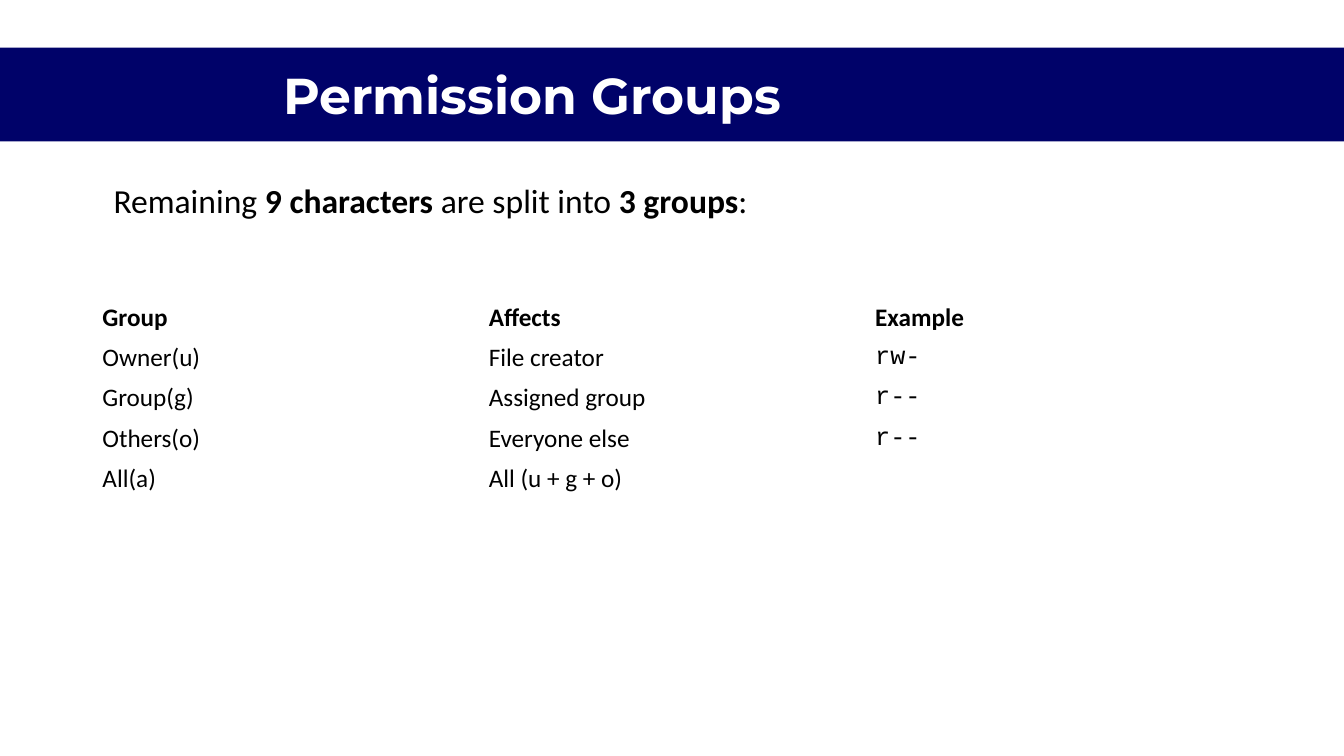
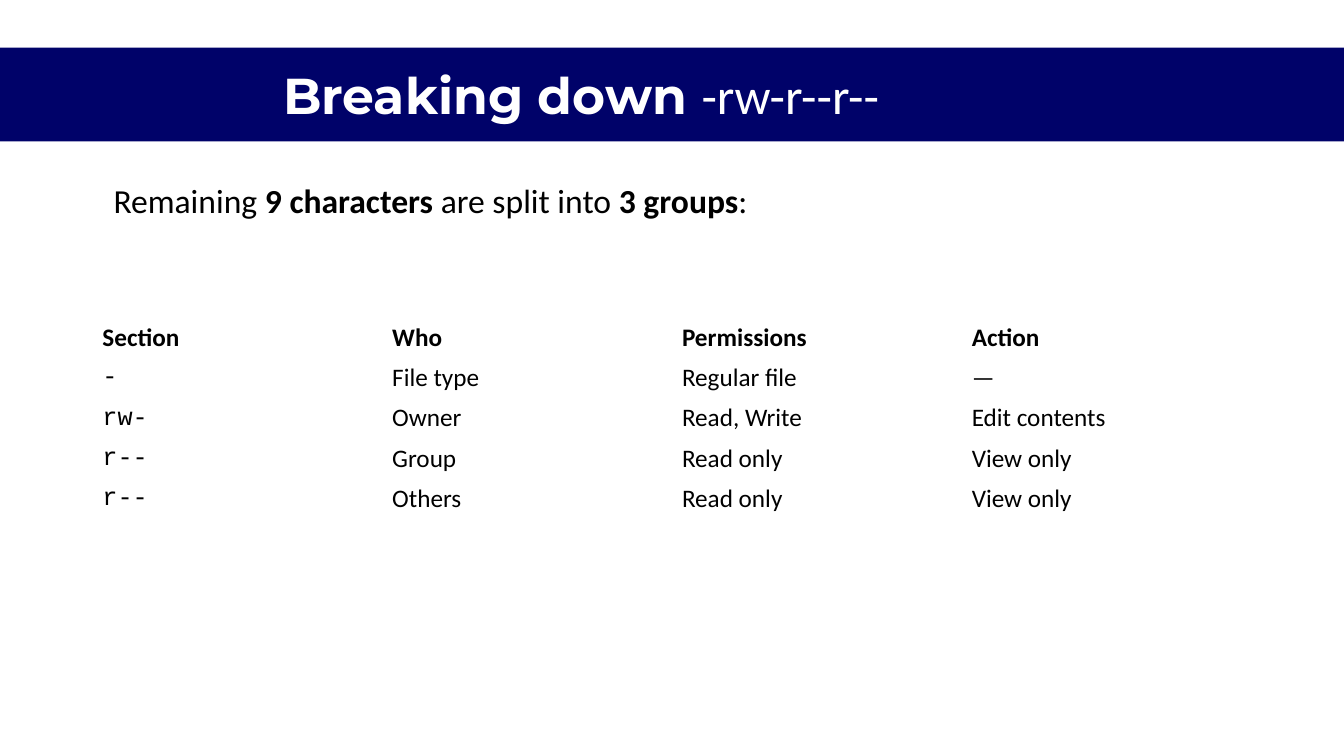
from dataclasses import dataclass

import pptx
import pptx.dml.color
import pptx.enum.shapes
import pptx.enum.text
import pptx.presentation
import pptx.shapes.autoshape
import pptx.slide
import pptx.text.text
import pptx.util

Pt = pptx.util.Pt
RGBColor = pptx.dml.color.RGBColor


@dataclass(frozen=True)
class Theme:
    navy: RGBColor = RGBColor(0x00, 0x02, 0x69)
    white: RGBColor = RGBColor(0xFF, 0xFF, 0xFF)
    black: RGBColor = RGBColor(0x00, 0x00, 0x00)
    heading_font: str = "Montserrat"
    body_font: str = "Calibri"
    code_font: str = "Courier New"
    title_size: float = 36
    intro_size: float = 24
    table_size: float = 18


@dataclass(frozen=True)
class Box:
    left: float
    top: float
    width: float
    height: float

    def lengths(self) -> tuple[pptx.util.Length, ...]:
        return Pt(self.left), Pt(self.top), Pt(self.width), Pt(self.height)


@dataclass(frozen=True)
class Span:
    text: str
    font: str
    bold: bool = False


@dataclass(frozen=True)
class Topic:
    title: list[Span]
    table_top: float
    code_column: int
    rows: list[list[str]]


THEME = Theme()

# Shared layout
SLIDE_WIDTH, SLIDE_HEIGHT = 960, 540
BAND = Box(-3, 34, 963, 67)
TITLE = Box(195, 42, 511, 51)
INTRO = Box(74, 125, 707, 36)
TABLE_LEFT, TABLE_WIDTH, ROW_HEIGHT = 66, 828, 28.8
CELL_PADDING = 3

# Content
INTRO_SPANS = [
    Span("Remaining ", THEME.body_font),
    Span("9 characters", THEME.body_font, True),
    Span(" are split into ", THEME.body_font),
    Span("3 groups", THEME.body_font, True),
    Span(":", THEME.body_font),
]
TOPICS = [
    Topic(
        title=[Span("Permission Groups", THEME.heading_font, True)],
        table_top=212.4,
        code_column=2,
        rows=[
            ["Group", "Affects", "Example"],
            ["Owner(u)", "File creator", "rw-"],
            ["Group(g)", "Assigned group", "r--"],
            ["Others(o)", "Everyone else", "r--"],
            ["All(a)", "All (u + g + o)", ""],
        ],
    ),
    Topic(
        title=[
            Span("Breaking down ", THEME.heading_font, True),
            Span("-rw-r--r--", THEME.body_font),
        ],
        table_top=226.8,
        code_column=0,
        rows=[
            ["Section", "Who", "Permissions", "Action"],
            ["-", "File type", "Regular file", "—"],
            ["rw-", "Owner", "Read, Write", "Edit contents"],
            ["r--", "Group", "Read only", "View only"],
            ["r--", "Others", "Read only", "View only"],
        ],
    ),
]


def write_spans(frame: pptx.text.text.TextFrame, spans: list[Span],
                size: float, color: RGBColor) -> None:
    para = frame.paragraphs[0]
    para.alignment = pptx.enum.text.PP_ALIGN.LEFT
    para.font.size = Pt(size)
    for span in spans:
        run = para.add_run()
        run.text = span.text
        run.font.name = span.font
        run.font.size = Pt(size)
        run.font.bold = span.bold
        run.font.color.rgb = color


def fit_frame(frame: pptx.text.text.TextFrame) -> None:
    frame.word_wrap = True
    frame.auto_size = pptx.enum.text.MSO_AUTO_SIZE.SHAPE_TO_FIT_TEXT
    frame.vertical_anchor = pptx.enum.text.MSO_ANCHOR.TOP


def add_heading(page: pptx.slide.Slide, spans: list[Span]) -> None:
    title = page.shapes.title
    title.left, title.top, title.width, title.height = TITLE.lengths()
    fit_frame(title.text_frame)
    write_spans(title.text_frame, spans, THEME.title_size, THEME.white)

    # The band sits behind the title
    band = page.shapes.add_shape(
        pptx.enum.shapes.MSO_SHAPE.RECTANGLE, *BAND.lengths())
    band.shadow.inherit = False
    band.fill.solid()
    band.fill.fore_color.rgb = THEME.navy
    band.line.fill.background()
    title.element.addprevious(band.element)


def add_intro(page: pptx.slide.Slide) -> None:
    frame = page.shapes.add_textbox(*INTRO.lengths()).text_frame
    fit_frame(frame)
    write_spans(frame, INTRO_SPANS, THEME.intro_size, THEME.black)


def add_grid(page: pptx.slide.Slide, topic: Topic) -> None:
    row_count, column_count = len(topic.rows), len(topic.rows[0])
    area = Box(TABLE_LEFT, topic.table_top, TABLE_WIDTH, ROW_HEIGHT * row_count)
    table = page.shapes.add_table(
        row_count, column_count, *area.lengths()).table
    table.first_row = table.horz_banding = False
    for column in table.columns:
        column.width = Pt(TABLE_WIDTH / column_count)
    for row_index, texts in enumerate(topic.rows):
        table.rows[row_index].height = Pt(ROW_HEIGHT)
        for column_index, text in enumerate(texts):
            cell = table.cell(row_index, column_index)
            cell.fill.background()
            cell.vertical_anchor = pptx.enum.text.MSO_ANCHOR.MIDDLE
            cell.margin_top = cell.margin_bottom = Pt(CELL_PADDING)
            is_header = row_index == 0
            is_code = column_index == topic.code_column and not is_header
            font = THEME.code_font if is_code else THEME.body_font
            spans = [Span(text, font, is_header)] if text else []
            write_spans(cell.text_frame, spans, THEME.table_size, THEME.black)


def add_topic(deck: pptx.presentation.Presentation, topic: Topic) -> None:
    page = deck.slides.add_slide(deck.slide_layouts.get_by_name("Title Only"))
    add_heading(page, topic.title)
    add_intro(page)
    add_grid(page, topic)


def main() -> None:
    deck = pptx.Presentation()
    deck.slide_width, deck.slide_height = Pt(SLIDE_WIDTH), Pt(SLIDE_HEIGHT)
    for topic in TOPICS:
        add_topic(deck, topic)
    deck.save("out.pptx")


if __name__ == "__main__":
    main()
